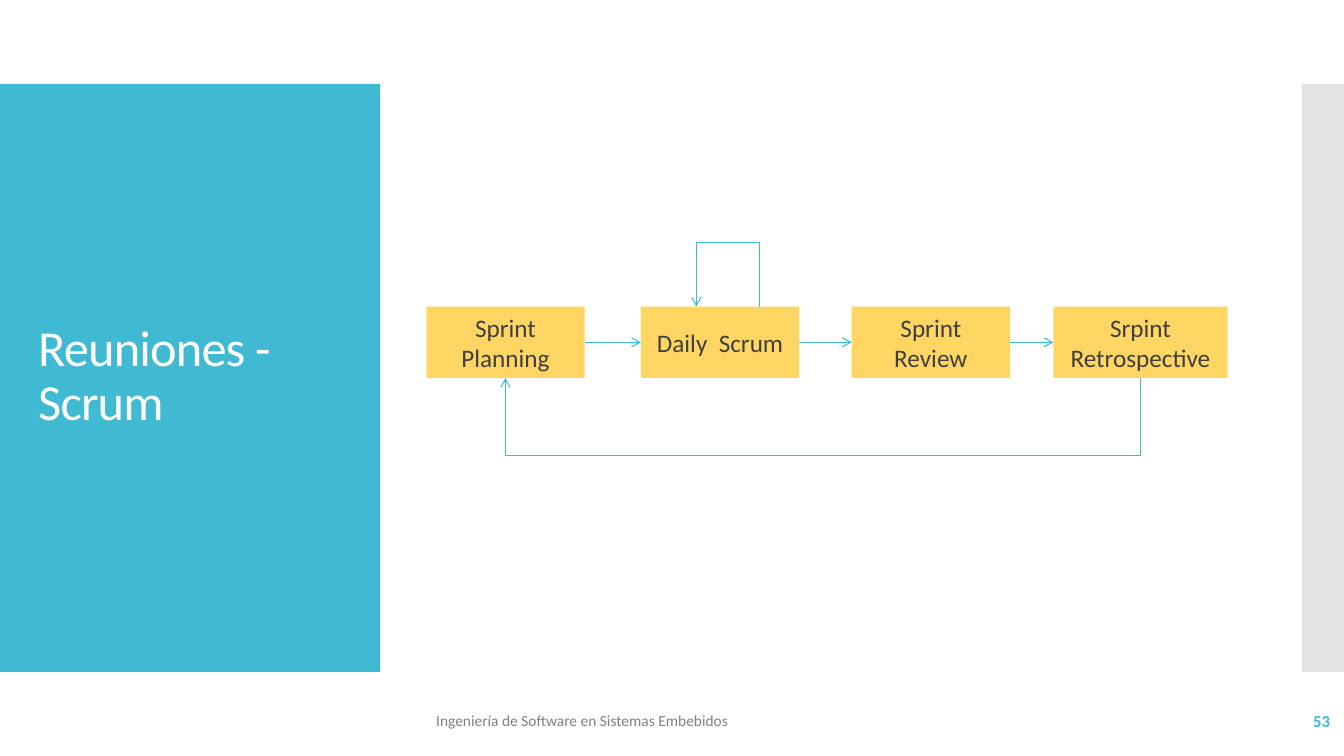
from lxml import etree
from pptx import Presentation
from pptx.dml.color import RGBColor
from pptx.enum.shapes import MSO_CONNECTOR, MSO_SHAPE
from pptx.enum.text import MSO_ANCHOR, MSO_AUTO_SIZE, PP_ALIGN
from pptx.oxml.ns import qn
from pptx.util import Inches, Pt

RECTANGLE = MSO_SHAPE.RECTANGLE
STRAIGHT = MSO_CONNECTOR.STRAIGHT
MIDDLE = MSO_ANCHOR.MIDDLE
NO_AUTOFIT = MSO_AUTO_SIZE.NONE
LEFT, CENTER, RIGHT = PP_ALIGN.LEFT, PP_ALIGN.CENTER, PP_ALIGN.RIGHT

# Grid of 32 columns by 18 rows of square cells
CELL = Inches(13.333) / 32
FONT = "Calibri"
TEAL, YELLOW, WHITE = "40BAD2", "FFD663", "FFFFFF"
PALE_GRAY, MID_GRAY, DARK_GRAY = "C8C8C8", "808080", "3F3F3F"

# Meeting boxes: label, left column, width in columns
MEETINGS = [
    ("Sprint Planning", 10.15, 3.77),
    ("Daily  Scrum", 15.26, 3.77),
    ("Sprint Review", 20.28, 3.77),
    ("Srpint Retrospective", 25.08, 4.15),
]
BOX_TOP, BOX_HEIGHT = 7.3, 1.7
BOX_BOTTOM = BOX_TOP + BOX_HEIGHT
LOOP_TOP, RETURN_ROW = 5.78, 10.85


def grid(*cells):
    return [round(value * CELL) for value in cells]


def color(hex_string):
    return RGBColor.from_string(hex_string)


def write(shape, text, size, hex_string, align=LEFT, bold=False):
    frame = shape.text_frame
    frame.word_wrap = True
    frame.auto_size = NO_AUTOFIT
    frame.vertical_anchor = MIDDLE
    paragraph = frame.paragraphs[0]
    paragraph.alignment = align
    run = paragraph.add_run()
    run.text = text
    run.font.name = FONT
    run.font.size = Pt(size)
    run.font.bold = bold
    run.font.color.rgb = color(hex_string)
    return paragraph, run


def add_panel(slide, place, hex_string, opacity=100):
    shape = slide.shapes.add_shape(RECTANGLE, *grid(*place))
    shape.shadow.inherit = False
    shape.fill.solid()
    shape.fill.fore_color.rgb = color(hex_string)
    shape.line.fill.background()
    if opacity < 100:
        fill_color = shape._element.spPr.find(".//" + qn("a:srgbClr"))
        etree.SubElement(fill_color, qn("a:alpha"), val=str(opacity * 1000))
    return shape


def add_label(slide, place, text, size, hex_string, **style):
    write(slide.shapes.add_textbox(*grid(*place)), text, size, hex_string, **style)


def add_title(slide, place, text):
    title = slide.shapes.title
    title.left, title.top, title.width, title.height = grid(*place)
    paragraph, run = write(title, text, 36, WHITE)
    paragraph.line_spacing = 0.9
    run._r.get_or_add_rPr().set("spc", "-60")
    # Bring the title in front of the colour panel
    slide.shapes._spTree.append(title._element)


def add_arrow_path(slide, *points):
    """Join the points with straight lines and put an arrowhead on the last."""
    for start, end in zip(points, points[1:]):
        connector = slide.shapes.add_connector(STRAIGHT, *grid(*start, *end))
        connector.line.color.rgb = color(TEAL)
        connector.line.width = Pt(0.75)
        etree.SubElement(connector._element.spPr, qn("a:effectLst"))
    etree.SubElement(connector.line._get_or_add_ln(), qn("a:tailEnd"), type="arrow")


def main():
    presentation = Presentation()
    presentation.slide_width, presentation.slide_height = grid(32, 18)
    slide = presentation.slides.add_slide(presentation.slide_layouts[5])

    # Side panels, footer and title
    add_panel(slide, (0, 2, 9.05, 14), TEAL)
    add_panel(slide, (31, 2, 1, 14), PALE_GRAY, opacity=50)
    add_label(slide, (10.15, 16.68, 15.5, 0.96),
              "Ingeniería de Software en Sistemas Embebidos", 11, MID_GRAY)
    add_label(slide, (27.91, 16.68, 4, 0.96), "53", 12, TEAL, align=RIGHT, bold=True)
    add_title(slide, (0.67, 2.95, 7.73, 12.07), "Reuniones - Scrum")

    # Meetings
    for name, left, width in MEETINGS:
        box = add_panel(slide, (left, BOX_TOP, width, BOX_HEIGHT), YELLOW)
        write(box, name, 18, DARK_GRAY, align=CENTER)

    # Arrows from each meeting to the next
    middle = BOX_TOP + BOX_HEIGHT / 2
    for (_, left, width), (_, next_left, _) in zip(MEETINGS, MEETINGS[1:]):
        add_arrow_path(slide, (left + width, middle), (next_left, middle))

    # Daily loop
    _, left, width = MEETINGS[1]
    loop_start, loop_end = left + 0.75 * width, left + 0.35 * width
    add_arrow_path(slide, (loop_start, BOX_TOP), (loop_start, LOOP_TOP),
                   (loop_end, LOOP_TOP), (loop_end, BOX_TOP))

    # Return from the last meeting to the first
    centers = [left + width / 2 for _, left, width in MEETINGS]
    first, last = centers[0], centers[-1]
    add_arrow_path(slide, (last, BOX_BOTTOM), (last, RETURN_ROW),
                   (first, RETURN_ROW), (first, BOX_BOTTOM))

    presentation.save("out.pptx")


if __name__ == "__main__":
    main()
